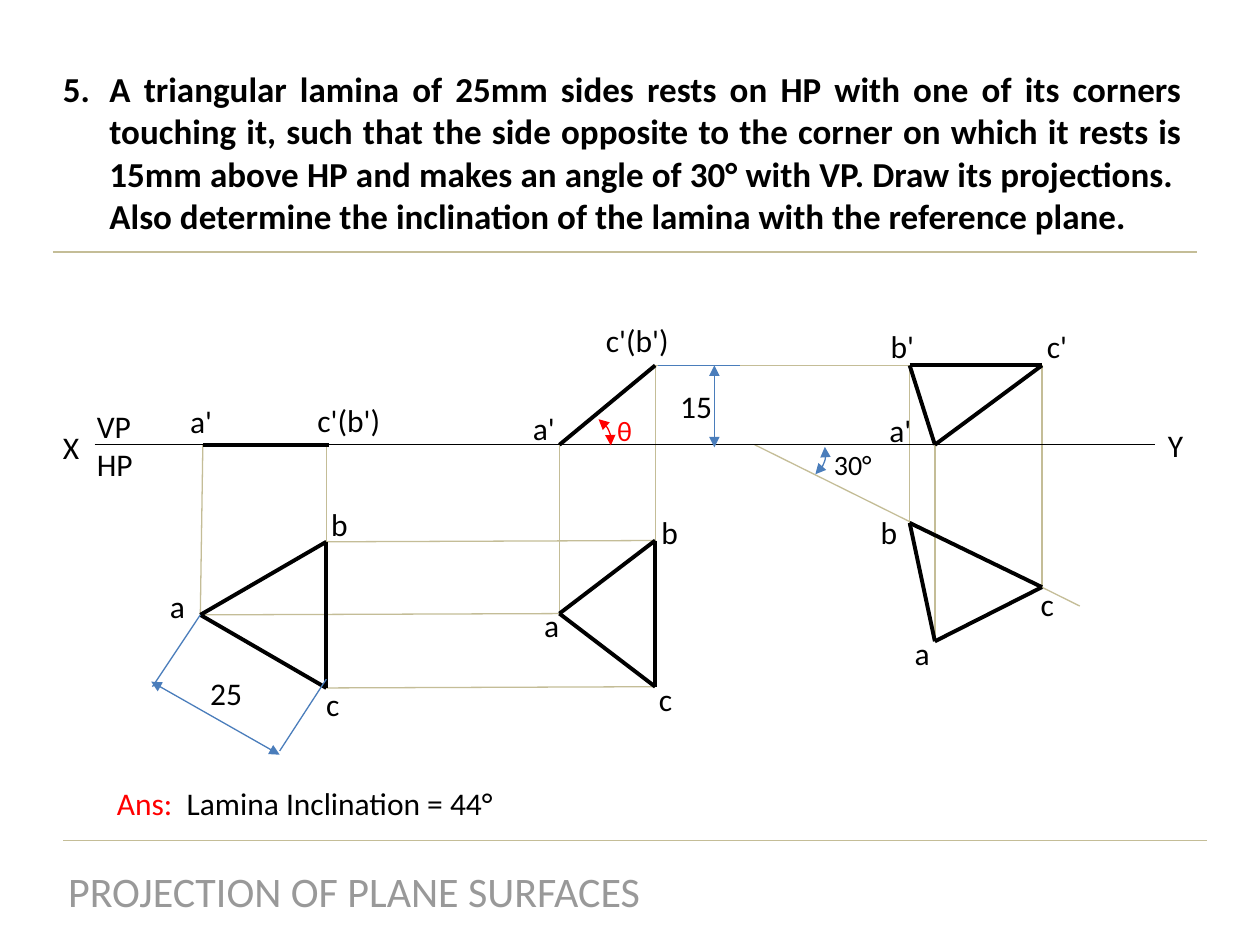
from lxml.etree import SubElement
from pptx import Presentation
from pptx.dml.color import RGBColor
from pptx.enum.shapes import MSO_CONNECTOR as Connector, MSO_SHAPE as Shape
from pptx.enum.text import PP_ALIGN as Align
from pptx.oxml.ns import qn
from pptx.util import Inches, Pt

BLACK = RGBColor(0x00, 0x00, 0x00)
GREY = RGBColor(0x99, 0x99, 0x99)
TAN = RGBColor(0xC4, 0xBD, 0x97)
BLUE = RGBColor(0x4A, 0x7D, 0xBB)
RED = RGBColor(0xFF, 0x00, 0x00)

THIN, THICK = 0.75, 2.25


class Drawing:
    """Holds the page and the style of its lines and lettering."""

    def __init__(self, page, font="Calibri"):
        self.page = page
        self.font = font

    def _stroke(self, shape, color, width, arrows):
        shape.line.color.rgb = color
        shape.line.width = Pt(width)
        if arrows:
            for end in ("a:headEnd", "a:tailEnd"):
                SubElement(shape.line._get_or_add_ln(), qn(end), type="triangle")

    def line(self, start, end, color=TAN, width=THIN, arrows=False):
        ends = [Inches(value) for value in (*start, *end)]
        connector = self.page.shapes.add_connector(Connector.STRAIGHT, *ends)
        self._stroke(connector, color, width, arrows)
        SubElement(connector._element.spPr, qn("a:effectLst"))

    def triangle(self, *corners):
        for start, end in zip(corners, corners[1:] + corners[:1]):
            self.line(start, end, BLACK, THICK)

    def angle_mark(self, left, top, rotation, color):
        arc = self.page.shapes.add_shape(
            Shape.ARC, Inches(left), Inches(top), Inches(0.4), Inches(0.41))
        arc.adjustments[0], arc.adjustments[1] = 174.47, 0
        arc.rotation = rotation
        arc.shadow.inherit = False
        arc.fill.background()
        self._stroke(arc, color, THIN, True)

    def text(self, left, top, width, height, *lines, size=18, color=BLACK,
             bold=False, align=Align.LEFT):
        box = self.page.shapes.add_textbox(
            Inches(left), Inches(top), Inches(width), Inches(height))
        frame = box.text_frame
        frame.word_wrap = True
        for index, line in enumerate(lines):
            para = frame.add_paragraph() if index else frame.paragraphs[0]
            para.text = line
            para.alignment = align
            para.font.name = self.font
            para.font.size = Pt(size)
            para.font.bold = bold
            para.font.color.rgb = color
        return frame.paragraphs[0]

    def numbered(self, para, number, indent):
        props = para._p.get_or_add_pPr()
        props.set("marL", str(Inches(indent)))
        props.set("indent", str(-Inches(indent)))
        bullet = SubElement(props, qn("a:buAutoNum"), type="arabicPeriod")
        bullet.set("startAt", str(number))
        props.insert(0, bullet)


def main():
    deck = Presentation()
    deck.slide_width, deck.slide_height = Inches(10), Inches(7.5)
    drawing = Drawing(deck.slides.add_slide(deck.slide_layouts[6]))

    # Question, rules and footer
    question = drawing.text(
        0.4, 0.49, 9.08, 1.45,
        "A triangular lamina of 25mm sides rests on HP with one of its corners "
        "touching it, such that the side opposite to the corner on which it rests "
        "is 15mm above HP and makes an angle of 30° with VP. Draw its projections.  "
        "Also determine the inclination of the lamina with the reference plane.",
        size=20, bold=True, align=Align.JUSTIFY)
    drawing.numbered(question, 5, 0.37)
    drawing.line((0.42, 2), (9.5, 2))
    drawing.line((0.5, 6.67), (9.58, 6.67))
    drawing.text(0.42, 6.82, 4.78, 0.5, "PROJECTION OF PLANE SURFACES",
                 size=24, color=GREY, align=Align.CENTER)

    # Levels and corners shared by the views
    ground, raised = 3.53, 2.9
    a1, b1, c1 = (1.59, 4.88), (2.59, 4.3), (2.59, 5.46)
    a2, b2, c2 = (4.44, 4.87), (5.2, 4.29), (5.2, 5.45)
    a3, b3, c3 = (7.42, 5.09), (7.22, 4.15), (8.27, 4.66)
    a2_front, c2_front = (a2[0], ground), (c2[0], raised)
    a3_front, b3_front, c3_front = (a3[0], ground), (b3[0], raised), (c3[0], raised)

    # Projectors
    for start, end in [
        (a1, (1.61, ground)), (b1, (2.59, ground)),
        (a1, a2), (b1, b2), (c1, c2),
        (a2, a2_front), (c2, c2_front),
        (a3, a3_front), (b3, b3_front), (c3, c3_front),
        (c2_front, c3_front), ((5.99, ground), (8.57, 4.81)),
    ]:
        drawing.line(start, end)

    # Reference line XY
    drawing.line((0.75, ground), (9.17, ground), BLACK)

    # Top views
    for corners in [(a1, b1, c1), (a2, b2, c2), (a3, b3, c3)]:
        drawing.triangle(*corners)

    # Front views
    drawing.line((1.61, ground), (2.61, ground), BLACK, THICK)
    drawing.line(a2_front, c2_front, BLACK, THICK)
    drawing.triangle(a3_front, b3_front, c3_front)

    # Dimensions and angles
    drawing.line(a1, (1.21, 5.45), BLUE)
    drawing.line((2.59, 5.39), (2.22, 5.96), BLUE)
    drawing.line((1.2, 5.41), (2.22, 5.99), BLUE, arrows=True)
    drawing.line((5.22, raised), (5.87, raised), BLUE)
    drawing.line((5.67, raised), (5.67, 3.55), BLUE, arrows=True)
    drawing.angle_mark(6.15, 3.4, 52.8, BLUE)
    drawing.angle_mark(4.45, 3.3, 8.7, RED)
    drawing.text(6.52, 3.5, 0.51, 0.37, "30°", size=16)
    drawing.text(4.8, 3.23, 0.32, 0.37, "θ", size=16, color=RED)

    # Point, plane and length labels
    widths = {"a": 0.32, "b": 0.34, "c": 0.48, "a'": 0.38, "b'": 0.39, "c'": 0.38,
              "c'(b')": 0.71, "X": 0.33, "Y": 0.32, "25": 0.46, "15": 0.46}
    for label, left, top in [
        ("X", 0.4, 3.35), ("Y", 9.17, 3.33),
        ("a", 1.25, 4.61), ("b", 2.53, 3.96), ("c", 2.49, 5.39),
        ("a'", 1.41, 3.14), ("c'(b')", 2.42, 3.13), ("25", 1.57, 5.3),
        ("a", 4.22, 4.76), ("b", 5.15, 4.02), ("c", 5.13, 5.35),
        ("a'", 4.13, 3.2), ("c'(b')", 4.71, 2.5), ("15", 5.3, 3.02),
        ("a", 7.16, 4.98), ("b", 6.89, 4.02), ("c", 8.16, 4.59),
        ("a'", 6.96, 3.21), ("b'", 6.97, 2.55), ("c'", 8.21, 2.55),
    ]:
        drawing.text(left, top, widths[label], 0.4, label)
    drawing.text(0.67, 3.18, 0.49, 0.71, "VP", "HP")

    # Answer
    answer = drawing.text(0.83, 6.17, 3.23, 0.4, "Ans:  ")
    answer.runs[0].font.color.rgb = RED
    span = answer.add_run()
    span.text = "Lamina Inclination = 44°"

    deck.save("out.pptx")


if __name__ == "__main__":
    main()
